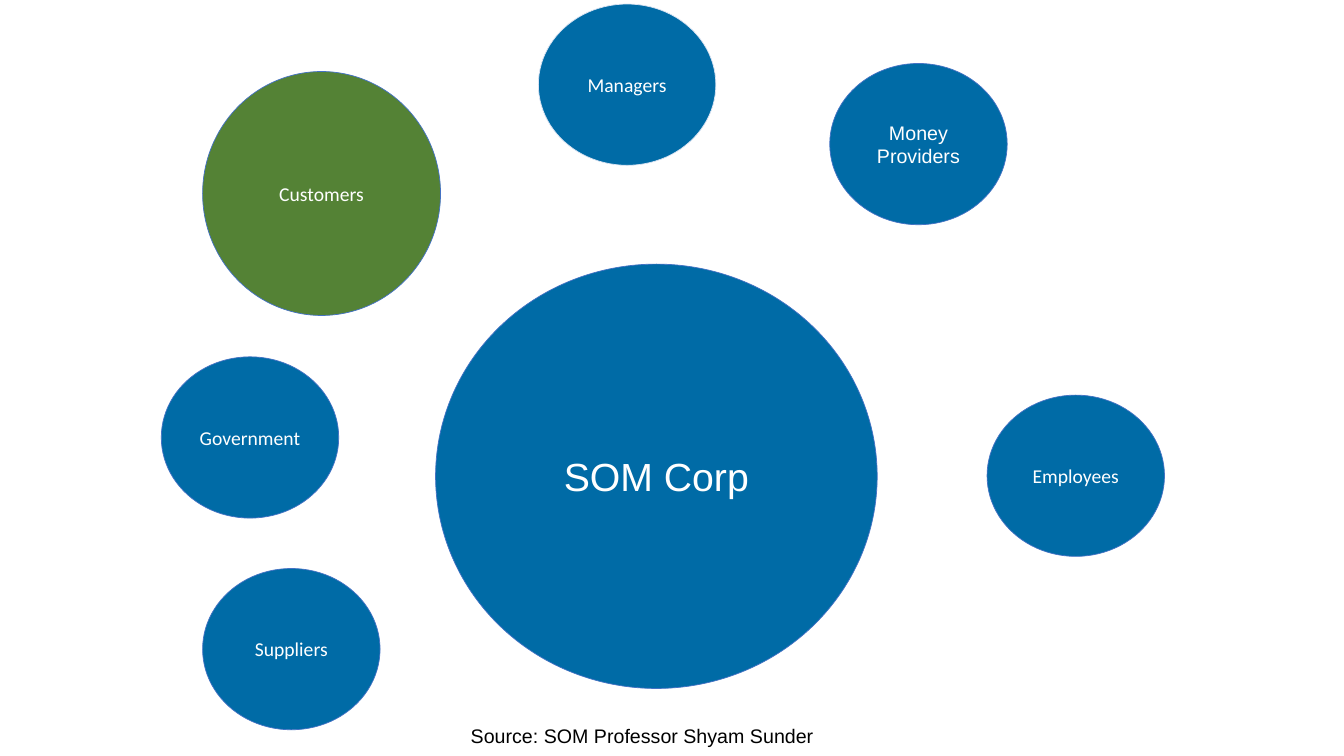
from dataclasses import dataclass

from pptx import Presentation
from pptx.dml.color import RGBColor
from pptx.enum.shapes import MSO_SHAPE
from pptx.enum.text import MSO_ANCHOR, MSO_AUTO_SIZE, PP_ALIGN
from pptx.slide import Slide
from pptx.text.text import TextFrame
from pptx.util import Emu, Pt

OVAL = MSO_SHAPE.OVAL
MIDDLE, TOP = MSO_ANCHOR.MIDDLE, MSO_ANCHOR.TOP
CENTER, LEFT = PP_ALIGN.CENTER, PP_ALIGN.LEFT
GROW = MSO_AUTO_SIZE.SHAPE_TO_FIT_TEXT

# 100 px to the inch
SCALE = 9144
BLUE, GREEN = "006BA6", "548235"
EDGE, PALE = "4472C4", "DAE3F3"
WHITE, BLACK = "FFFFFF", "000000"


@dataclass
class Circle:
    label: str
    left: int
    top: int
    width: int = 176
    height: int = 160
    fill: str = BLUE
    line: str = EDGE
    font: str = "Calibri"
    size: int = 14


CORP = Circle("SOM Corp", 432, 262, 438, 421, font="Arial", size=28)
PARTIES = [
    Circle("Employees", 979, 392),
    Circle("Suppliers", 201, 564),
    Circle("Government", 160, 354),
    Circle("Customers", 201, 71, 236, 242, fill=GREEN),
    Circle("Managers", 534, 4, line=PALE),
    Circle("Money Providers", 823, 63, font="Arial"),
]


def px(count: int) -> Emu:
    return Emu(count * SCALE)


def color(code: str) -> RGBColor:
    return RGBColor.from_string(code)


def write(frame: TextFrame, text: str, name: str, size: int, ink: str,
          align: PP_ALIGN, anchor: MSO_ANCHOR) -> None:
    frame.word_wrap = True
    frame.vertical_anchor = anchor
    para = frame.paragraphs[0]
    para.alignment = align
    run = para.add_run()
    run.text = text
    style = {"name": name, "size": Pt(size)}
    for key, value in style.items():
        setattr(run.font, key, value)
    run.font.color.rgb = color(ink)


def draw_circle(slide: Slide, item: Circle) -> None:
    box = map(px, (item.left, item.top, item.width, item.height))
    shape = slide.shapes.add_shape(OVAL, *box)
    shape.shadow.inherit = False
    shape.fill.solid()
    shape.fill.fore_color.rgb = color(item.fill)
    shape.line.color.rgb = color(item.line)
    shape.line.width = Pt(0.5)
    write(shape.text_frame, item.label, item.font, item.size, WHITE,
          CENTER, MIDDLE)


def draw_source(slide: Slide) -> None:
    box = slide.shapes.add_textbox(*map(px, (457, 713, 535, 34)))
    write(box.text_frame, "Source: SOM Professor Shyam Sunder", "Arial", 14,
          BLACK, LEFT, TOP)
    box.text_frame.auto_size = GROW


def main() -> None:
    deck = Presentation()
    deck.slide_width, deck.slide_height = px(1333), px(750)
    slide = deck.slides.add_slide(deck.slide_layouts[6])

    # Company in the middle, with the source line below
    draw_circle(slide, CORP)
    draw_source(slide)

    # Parties around the company
    for party in PARTIES:
        draw_circle(slide, party)

    deck.save("out.pptx")


if __name__ == "__main__":
    main()
